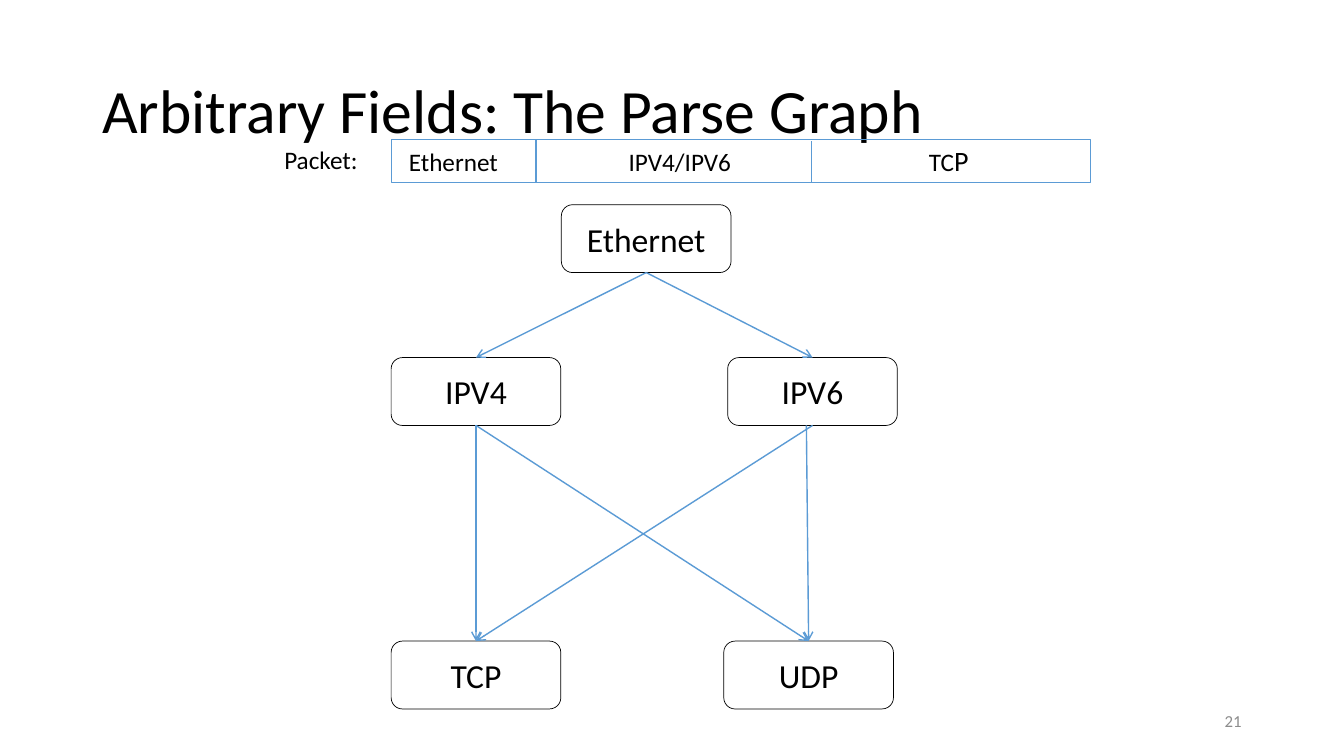
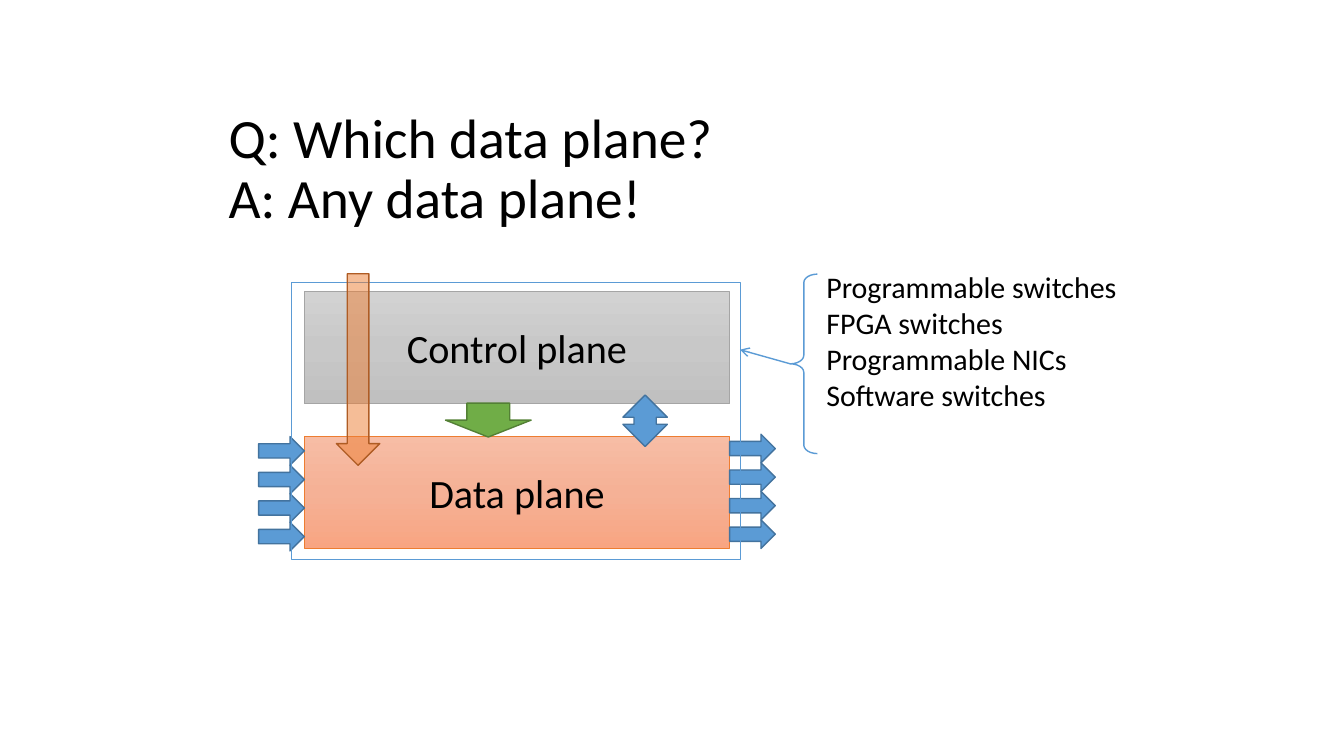
from copy import deepcopy

from lxml import etree
from pptx import Presentation
from pptx.dml.color import RGBColor
from pptx.enum.shapes import MSO_CONNECTOR, MSO_SHAPE
from pptx.enum.text import MSO_ANCHOR, PP_ALIGN
from pptx.oxml.ns import qn
from pptx.util import Pt

STRAIGHT = MSO_CONNECTOR.STRAIGHT
RECTANGLE = MSO_SHAPE.RECTANGLE
NODE_SHAPE = MSO_SHAPE.FLOWCHART_ALTERNATE_PROCESS
RIGHT_ARROW = MSO_SHAPE.RIGHT_ARROW
DOWN_ARROW = MSO_SHAPE.DOWN_ARROW
UP_DOWN_ARROW = MSO_SHAPE.UP_DOWN_ARROW
LEFT_BRACE = MSO_SHAPE.LEFT_BRACE
LEFT, CENTER, RIGHT = PP_ALIGN.LEFT, PP_ALIGN.CENTER, PP_ALIGN.RIGHT
TOP, MIDDLE = MSO_ANCHOR.TOP, MSO_ANCHOR.MIDDLE

FONT = "Calibri"
COLORS = {
    "text": "000000", "white": "FFFFFF", "number": "8C8C8C",
    "blue": "5B9BD5", "blue_edge": "43739E",
    "green": "70AD47", "green_edge": "538035",
    "orange": "ED7D31", "orange_edge": "AF5C24", "gray_edge": "A5A5A5",
}
GRAY_GRADIENT = ("D2D2D2", "C8C8C8", "C0C0C0")
ORANGE_GRADIENT = ("F7BDA5", "F5B196", "F8A582")

# Parse graph: boxes are (left, top, width, height) in points
PARSE_TITLE = "Arbitrary Fields: The Parse Graph"
SLIDE_NUMBER = "21"
NODE_SIZE = (121.2, 48.5)
NODES = {
    "Ethernet": (401, 146.2),
    "IPV4": (279.4, 255.4),
    "IPV6": (519.8, 255.4),
    "TCP": (279.4, 457.9),
    "UDP": (517, 457.9),
}
# Start node, end node, sideways shift of the start
EDGES = [
    ("Ethernet", "IPV4", 0), ("Ethernet", "IPV6", 0), ("IPV6", "TCP", 0),
    ("IPV4", "TCP", 0), ("IPV6", "UDP", -4.4), ("IPV4", "UDP", 0),
]
PACKET_LABEL = "Packet:"
PACKET_FIELDS = ["Ethernet", "IPV4/IPV6", "TC"]
PACKET_LAST_LETTER = "P"
PACKET_BOX = (279.4, 99.4, 499.7, 30.6)
FIELD_TABS = (157, 371.5)
FIELD_DIVIDERS = [(383, 99.4), (579.6, 100.8)]

# Data plane
PLANE_TITLE = "Q: Which data plane?\vA: Any data plane!"
PLANES = [
    ("Control plane", 208.4, GRAY_GRADIENT, "gray_edge"),
    ("Data plane", 311.8, ORANGE_GRADIENT, "orange"),
]
PLANE_LEFT, PLANE_WIDTH, PLANE_HEIGHT = 217.4, 303.8, 80
PORT_COUNT, PORT_STEP, PORT_SIZE = 4, 20.4, (32.6, 20.4)
PORT_COLUMNS = [(184.8, 311.9), (521.2, 310.2)]
SWITCH_BOX = (208, 201.6, 320.6, 198)
TARGETS = ["Programmable switches", "FPGA switches",
           "Programmable NICs", "Software switches"]


def color(name):
    """Return the palette colour with this name."""
    return RGBColor.from_string(COLORS[name])


def write(shape, text, size, align=LEFT, anchor=TOP, color_name="text", wrap=True):
    """Set the text of a shape and format all its runs."""
    frame = shape.text_frame
    frame.text = text
    frame.word_wrap = wrap
    frame.vertical_anchor = anchor
    for paragraph in frame.paragraphs:
        paragraph.alignment = align
        for run in paragraph.runs:
            run.font.name = FONT
            run.font.size = Pt(size)
            run.font.color.rgb = color(color_name)


def add_text(slide, box, text, size, **style):
    """Add a text box and return it."""
    shape = slide.shapes.add_textbox(*map(Pt, box))
    write(shape, text, size, **style)
    return shape


def add_title(slide, box, text, size):
    """Add a slide title in the shared style."""
    title = add_text(slide, box, text, size, anchor=MIDDLE)
    title.text_frame.paragraphs[0].line_spacing = 0.9


def add_shape(slide, kind, box, line, width, fill=None):
    """Add a flat preset shape, unfilled unless a fill is named."""
    shape = slide.shapes.add_shape(kind, *map(Pt, box))
    shape.shadow.inherit = False
    shape.line.color.rgb = color(line)
    shape.line.width = Pt(width)
    if fill:
        shape.fill.solid()
        shape.fill.fore_color.rgb = color(fill)
    else:
        shape.fill.background()
    return shape


def set_gradient(shape, stops):
    """Fill a shape with evenly spaced stops from top to bottom."""
    shape.fill.gradient()
    shape.fill.gradient_angle = 270
    stop_list = shape._element.spPr.find(".//" + qn("a:gsLst"))
    while len(stop_list) < len(stops):
        stop_list.append(deepcopy(stop_list[0]))
    for index, stop in enumerate(shape.fill.gradient_stops):
        stop.position = index / (len(stops) - 1)
        stop.color.rgb = RGBColor.from_string(stops[index])


def add_line(slide, start, end, arrow=False):
    """Add a straight blue line, with an open arrowhead if asked."""
    line = slide.shapes.add_connector(STRAIGHT, *map(Pt, start + end))
    line.line.color.rgb = color("blue")
    line.line.width = Pt(1)
    if arrow:
        etree.SubElement(line.line._get_or_add_ln(), qn("a:tailEnd"), type="arrow")
    etree.SubElement(line._element.spPr, qn("a:effectLst"))
    return line


def add_edge(slide, nodes, start_name, end_name, shift):
    """Link the bottom of one node to the top of another."""
    width, height = NODE_SIZE
    start_left, start_top = NODES[start_name]
    end_left, end_top = NODES[end_name]
    start = (start_left + width / 2 + shift, start_top + height)
    edge = add_line(slide, start, (end_left + width / 2, end_top), arrow=True)
    if not shift:
        edge.begin_connect(nodes[start_name], 2)
    edge.end_connect(nodes[end_name], 0)


def add_packet(slide):
    """Draw the packet bar with its fields and dividers."""
    left, top, width, height = PACKET_BOX
    add_shape(slide, RECTANGLE, PACKET_BOX, "blue", 0.5)
    fields = add_text(slide, (left + 5.6, top - 0.8, width - 5, height + 1),
                      "\t".join(PACKET_FIELDS), 18)
    paragraph = fields.text_frame.paragraphs[0]
    last_letter = paragraph.add_run()
    last_letter.text = PACKET_LAST_LETTER
    last_letter.font.name = FONT
    last_letter.font.size = Pt(20)
    last_letter.font.color.rgb = color("text")
    tab_list = etree.SubElement(paragraph._p.get_or_add_pPr(), qn("a:tabLst"))
    for position in FIELD_TABS:
        etree.SubElement(tab_list, qn("a:tab"), pos=str(Pt(position)), algn="l")
    for divider_left, divider_top in FIELD_DIVIDERS:
        add_line(slide, (divider_left, top + height), (divider_left, divider_top))
    add_text(slide, (196, top, 68.4, 28.8), PACKET_LABEL, 18, wrap=False)


def build_parse_graph(slide):
    """Build the parse graph slide."""
    add_title(slide, (66, 28.8, 828, 104.4), PARSE_TITLE, 44)
    add_text(slide, (678, 500.4, 216, 28.8), SLIDE_NUMBER, 12,
             align=RIGHT, anchor=MIDDLE, color_name="number")
    nodes = {}
    for name, position in NODES.items():
        nodes[name] = add_shape(slide, NODE_SHAPE, position + NODE_SIZE,
                                "text", 0.5, "white")
        write(nodes[name], name, 24, align=CENTER, anchor=MIDDLE)
    for edge in EDGES:
        add_edge(slide, nodes, *edge)
    add_packet(slide)


def build_data_plane(slide):
    """Build the data plane slide."""
    add_title(slide, (156.2, 83.5, 648, 77), PLANE_TITLE, 39.6)
    for name, top, gradient, edge in PLANES:
        box = (PLANE_LEFT, top, PLANE_WIDTH, PLANE_HEIGHT)
        plane = add_shape(slide, RECTANGLE, box, edge, 0.5)
        set_gradient(plane, gradient)
        write(plane, name, 28.7, align=CENTER, anchor=MIDDLE)
    for left, top in PORT_COLUMNS:
        for index in range(PORT_COUNT):
            box = (left, top + index * PORT_STEP) + PORT_SIZE
            add_shape(slide, RIGHT_ARROW, box, "blue_edge", 1, "blue")
    add_shape(slide, DOWN_ARROW, (318.2, 288, 61.2, 24.2), "green_edge", 1, "green")
    add_shape(slide, RECTANGLE, SWITCH_BOX, "blue", 0.5)
    through_arrow = add_shape(slide, DOWN_ARROW, (240.3, 195.6, 31, 136.8),
                              "orange_edge", 1, "orange")
    fill_color = through_arrow._element.spPr.find(qn("a:solidFill"))[0]
    etree.SubElement(fill_color, qn("a:alpha"), val="50000")
    add_text(slide, (583.2, 188.2, 256.3, 110.2), "\n".join(TARGETS), 21.4)
    add_line(slide, (564.5, 259.9), (528.6, 249.8), arrow=True)
    brace = add_shape(slide, LEFT_BRACE, (564.5, 195.8, 19.4, 128.2), "blue", 1)
    brace.adjustments[0] = 0.315
    add_shape(slide, UP_DOWN_ARROW, (445, 282.2, 31.7, 36.7), "blue_edge", 1, "blue")


def main():
    """Build and save the presentation."""
    presentation = Presentation()
    presentation.slide_width = Pt(960)
    presentation.slide_height = Pt(540)
    blank = presentation.slide_layouts[6]
    for build in (build_parse_graph, build_data_plane):
        build(presentation.slides.add_slide(blank))
    presentation.save("out.pptx")


main()
